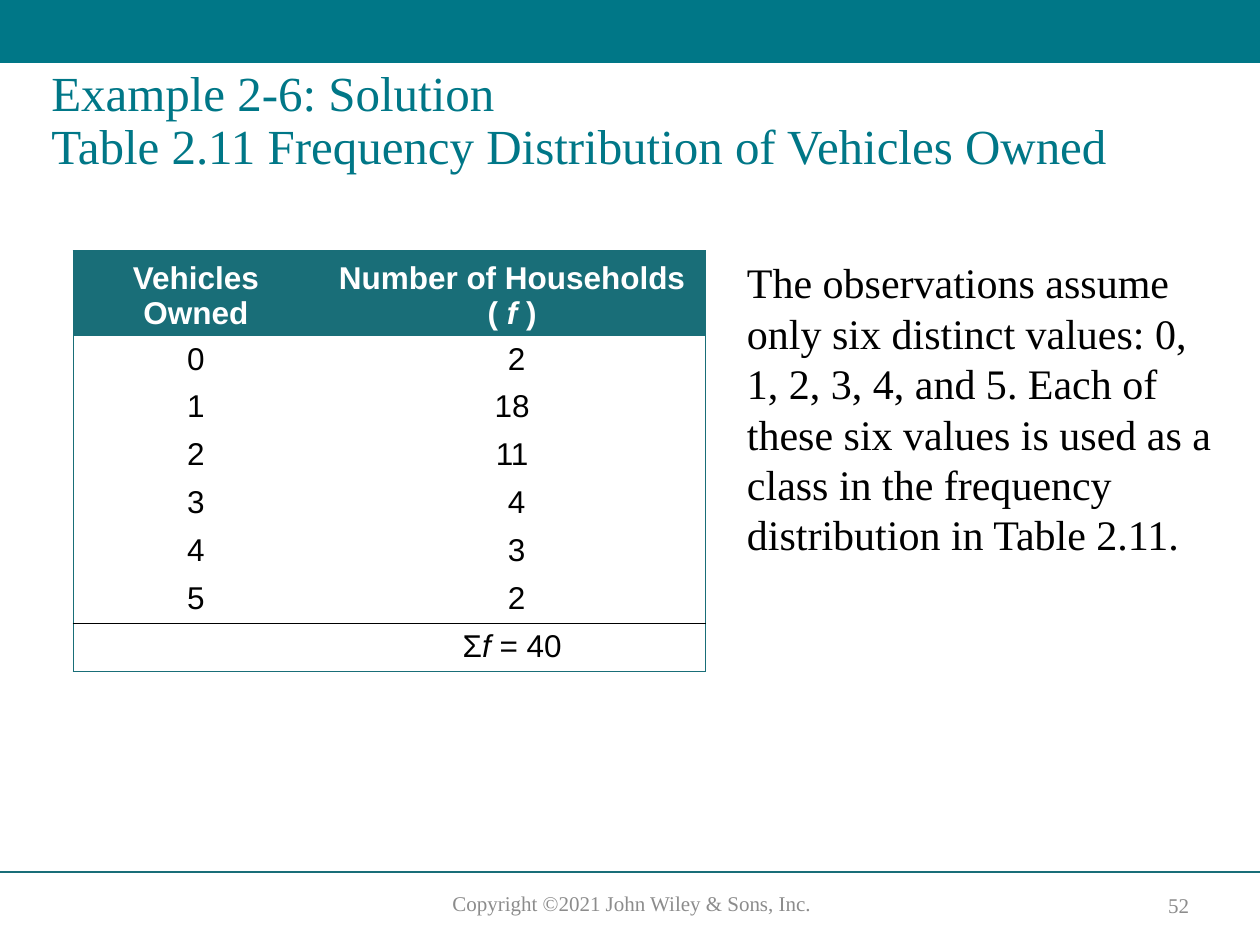
from lxml import etree
from pptx import Presentation
from pptx.dml.color import RGBColor
from pptx.enum.shapes import MSO_CONNECTOR, MSO_SHAPE
from pptx.enum.text import MSO_ANCHOR, PP_ALIGN
from pptx.oxml.ns import qn
from pptx.util import Inches, Pt

TEAL = RGBColor(0x00, 0x77, 0x87)
DARK_TEAL = RGBColor(0x19, 0x6E, 0x78)
GREY = RGBColor(0x8C, 0x8C, 0x8C)
BLACK = RGBColor(0, 0, 0)
WHITE = RGBColor(0xFF, 0xFF, 0xFF)
SERIF, SANS = "Times New Roman", "Arial"
LEFT, CENTER = PP_ALIGN.LEFT, PP_ALIGN.CENTER
TOP, MIDDLE, BOTTOM = MSO_ANCHOR.TOP, MSO_ANCHOR.MIDDLE, MSO_ANCHOR.BOTTOM
RECTANGLE, STRAIGHT = MSO_SHAPE.RECTANGLE, MSO_CONNECTOR.STRAIGHT

HEADINGS = ["Vehicles Owned", ["Number of Households ( ", "f", " )"]]
HOUSEHOLDS = [2, 18, 11, 4, 3, 2]
TOTAL = ["Σ", "f", " = 40"]


def write(frame, text, *, size, color, font=SERIF, bold=False, align=LEFT,
          spacing=None):
    """Write a string, or a list of runs in which every second one is italic."""
    paragraph = frame.paragraphs[0]
    paragraph.alignment = align
    if spacing:
        paragraph.line_spacing = spacing
    runs = [text] if isinstance(text, str) else text
    for index, part in enumerate(runs):
        for position, line in enumerate(part.split("\n")):
            if position:
                paragraph.add_line_break()
            run = paragraph.add_run()
            run.text = line
            run.font.name = font
            run.font.size = Pt(size)
            run.font.bold = bold
            run.font.italic = index % 2 == 1
            run.font.color.rgb = color


def add_text(slide, box, text, anchor=TOP, **style):
    frame = slide.shapes.add_textbox(*map(Inches, box)).text_frame
    frame.word_wrap = True
    frame.vertical_anchor = anchor
    write(frame, text, **style)


def set_borders(cell, borders):
    """Draw the given sides as (colour, points) and clear the others."""
    properties = cell._tc.get_or_add_tcPr()
    for side in "LRTB":
        line = etree.SubElement(properties, qn(f"a:ln{side}"))
        if side in borders:
            color, width = borders[side]
            line.set("w", str(Pt(width)))
            fill = etree.SubElement(line, qn("a:solidFill"))
            etree.SubElement(fill, qn("a:srgbClr"), val=str(color))
        else:
            line.set("w", "0")
            etree.SubElement(line, qn("a:noFill"))


def add_banner(slide, box):
    banner = slide.shapes.add_shape(RECTANGLE, *map(Inches, box))
    banner.shadow.inherit = False
    banner.fill.solid()
    banner.fill.fore_color.rgb = TEAL
    banner.line.fill.background()


def add_footer(slide, box):
    left, top, width, _ = box
    rule = slide.shapes.add_connector(
        STRAIGHT, *map(Inches, (left, top, left + width, top)))
    rule.line.color.rgb = DARK_TEAL
    rule.line.width = Pt(1)
    etree.SubElement(rule._element.spPr, qn("a:effectLst"))
    style = {"size": 12, "color": GREY, "align": CENTER}
    add_text(slide, (left + 3.22, top + 0.1, 3.59, 0.3),
             "Copyright ©2021 John Wiley & Sons, Inc.", **style)
    add_text(slide, (left + 9.05, top + 0.12, 0.61, 0.28), "52",
             anchor=MIDDLE, **style)


def add_frequency_table(slide, box):
    # An en space lines single digits up with the units of the others
    counts = [[str(owned), f"{count}".rjust(2, " ")]
              for owned, count in enumerate(HOUSEHOLDS)]
    rows = [HEADINGS, *counts, ["", TOTAL]]
    last = len(rows) - 1
    table = slide.shapes.add_table(len(rows), 2, *map(Inches, box)).table
    table.horz_banding = False
    for column, width in zip(table.columns, (1.95, 3.07)):
        column.width = Inches(width)

    outline, total_rule = (DARK_TEAL, 0.5), (BLACK, 1)
    for r, row in enumerate(rows):
        header = r == 0
        table.rows[r].height = Inches(0.66 if header else 0.38)
        for c, text in enumerate(row):
            cell = table.cell(r, c)
            borders = {"R" if c else "L": outline}
            if header:
                borders["T"] = outline
            if r == last - 1:
                borders["B"] = total_rule
            if r == last:
                borders.update(T=total_rule, B=outline)
            set_borders(cell, borders)
            cell.fill.solid()
            cell.fill.fore_color.rgb = DARK_TEAL if header else WHITE
            cell.margin_top = cell.margin_bottom = Inches(0.04)
            cell.vertical_anchor = BOTTOM if header else TOP
            write(cell.text_frame, text, size=18, font=SANS, bold=header,
                  color=WHITE if header else BLACK, align=CENTER)


def build_slide(slide):
    add_banner(slide, (0, 0, 10, 0.5))
    add_footer(slide, (0, 6.92, 10, 0.58))
    add_text(slide, (0.31, 0.5, 9.33, 1.25),
             "Example 2-6: Solution\n"
             "Table 2.11 Frequency Distribution of Vehicles Owned",
             size=28, color=TEAL, spacing=0.9)
    add_frequency_table(slide, (0.58, 1.99, 5.02, 3.32))
    # Explanation beside the table
    add_text(slide, (5.83, 1.99, 3.92, 3.34),
             "The observations assume only six distinct values: 0, 1, 2, 3, 4, "
             "and 5. Each of these six values is used as a class in the "
             "frequency distribution in Table 2.11.",
             size=24, color=BLACK)


def main():
    deck = Presentation()
    deck.slide_width, deck.slide_height = Inches(10), Inches(7.5)
    build_slide(deck.slides.add_slide(deck.slide_layouts[6]))
    deck.save("out.pptx")


if __name__ == "__main__":
    main()
